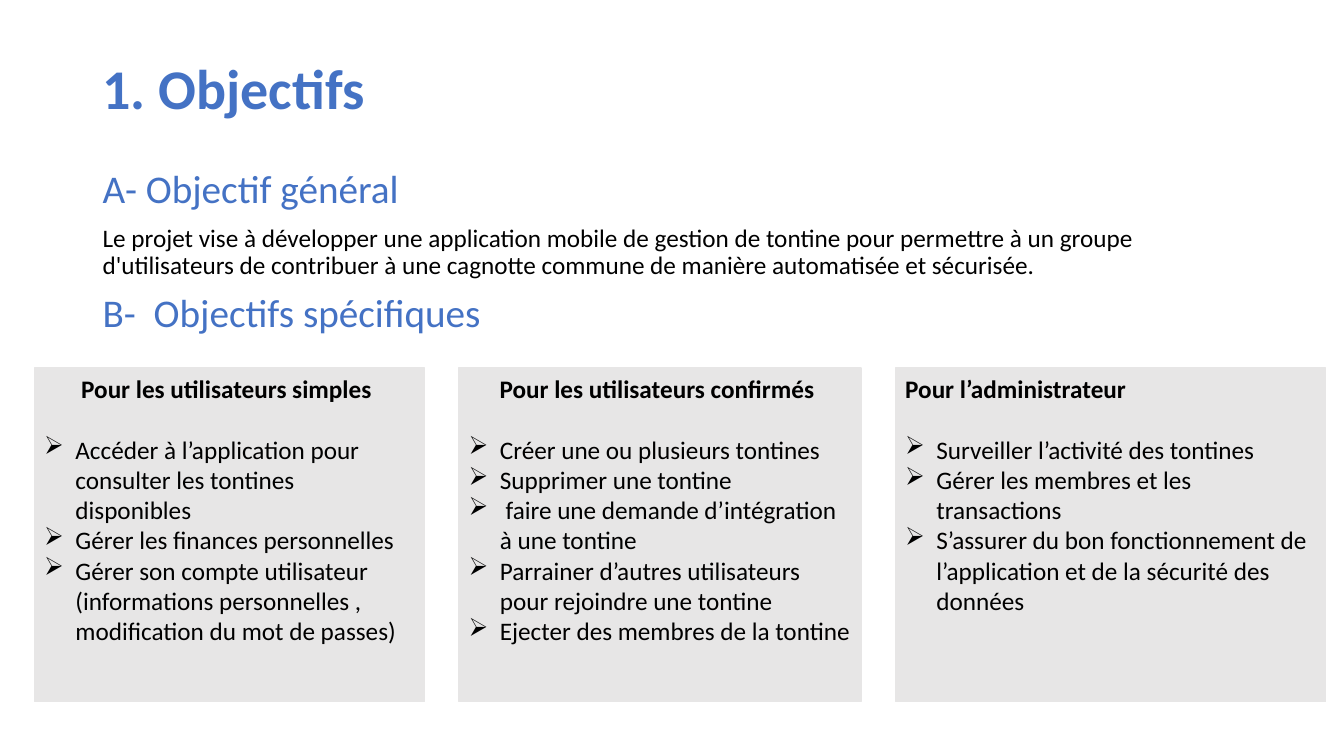
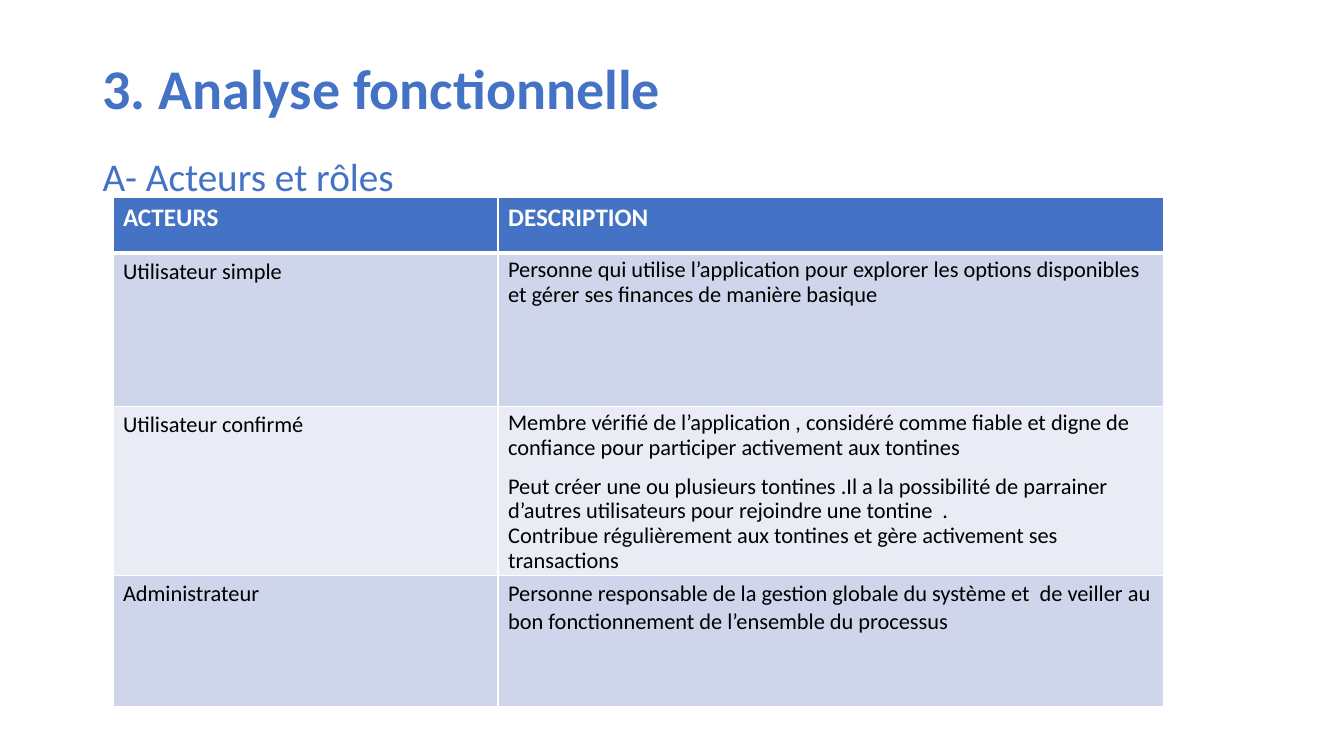
from lxml.etree import SubElement
from pptx import Presentation
from pptx.dml.color import RGBColor
from pptx.enum.shapes import MSO_SHAPE
from pptx.enum.text import MSO_ANCHOR, PP_ALIGN
from pptx.oxml.ns import qn
from pptx.util import Emu, Pt

PX = 9144
FONT = "Calibri"
BLUE, BLACK, WHITE, GREY = "4472C4", "000000", "FFFFFF", "E7E6E6"
BANDS = ("CFD5EA", "E9EBF5")
TITLE_BOX = (92, 40, 1150, 102)
BULLET_INDENT = 31

OBJECTIVES = [
    ("A- Objectif général", True),
    ("Le projet vise à développer une application mobile de gestion de tontine pour "
     "permettre à un groupe d'utilisateurs de contribuer à une cagnotte commune de "
     "manière automatisée et sécurisée.", False),
    ("B-  Objectifs spécifiques", True),
]
CARDS = [
    (387, PP_ALIGN.CENTER, "Pour les utilisateurs simples ", [
        "Accéder à l’application pour consulter les tontines disponibles",
        "Gérer les finances personnelles",
        "Gérer son compte utilisateur (informations personnelles , "
        "modification du mot de passes)"]),
    (399, PP_ALIGN.CENTER, "Pour les utilisateurs confirmés ", [
        "Créer une ou plusieurs tontines",
        "Supprimer une tontine",
        " faire une demande d’intégration à une tontine",
        "Parrainer d’autres utilisateurs pour rejoindre une tontine",
        "Ejecter des membres de la tontine"]),
    (427, PP_ALIGN.LEFT, "Pour l’administrateur", [
        "Surveiller l’activité des tontines",
        "Gérer les membres et les transactions",
        "S’assurer du bon fonctionnement de l’application et de la sécurité des données"]),
]
HEADERS = ("ACTEURS", "DESCRIPTION")
ACTORS = [
    ("Utilisateur simple", 0.9, [
        "Personne qui utilise l’application pour explorer les options disponibles "
        "et gérer ses finances de manière basique"]),
    ("Utilisateur confirmé", 0.9, [
        "Membre vérifié de l’application , considéré comme fiable et digne de "
        "confiance pour participer activement aux tontines",
        "Peut créer une ou plusieurs tontines .Il a la possibilité de parrainer "
        "d’autres utilisateurs pour rejoindre une tontine  .\n"
        "Contribue régulièrement aux tontines et gère activement ses transactions"]),
    ("Administrateur", 1, [
        "Personne responsable de la gestion globale du système et  de veiller au "
        "bon fonctionnement de l’ensemble du processus"]),
]


def px(*values):
    """Turn pixel lengths into a list of EMU lengths."""
    return [Emu(v * PX) for v in values]


def rgb(value):
    """Turn a hex string into a colour."""
    return RGBColor.from_string(value)


def add_text(tf, text, size=18, color=BLACK, bold=False, align=PP_ALIGN.LEFT,
             spacing=1, before=0, after=0, bullet=None):
    """Write one formatted paragraph, using the empty first one if it is free."""
    p = tf.paragraphs[0] if not tf.text else tf.add_paragraph()
    p.text = text
    p.alignment = align
    p.line_spacing = spacing
    p.space_before, p.space_after = Pt(before), Pt(after)
    for r in p.runs:
        r.font.name, r.font.size, r.font.bold = FONT, Pt(size), bold
        r.font.color.rgb = rgb(color)
    for br in p._p.findall(qn("a:br")):
        SubElement(br, qn("a:rPr"), sz=str(size * 100))
    if bullet:
        pPr = p._p.get_or_add_pPr()
        pPr.set("marL", str(BULLET_INDENT * PX))
        pPr.set("indent", str(-BULLET_INDENT * PX))
        SubElement(pPr, qn("a:buChar"), char=bullet)


def add_box(s, box, anchor=MSO_ANCHOR.TOP):
    """Add a wrapping text box and return its text frame."""
    tf = s.shapes.add_textbox(*px(*box)).text_frame
    tf.word_wrap = True
    tf.vertical_anchor = anchor
    return tf


def add_slide(prs, title):
    """Add a blank slide with the shared title."""
    s = prs.slides.add_slide(prs.slide_layouts[6])
    add_text(add_box(s, TITLE_BOX, MSO_ANCHOR.MIDDLE), title, size=40, color=BLUE,
             bold=True, spacing=0.9)
    return s


def add_body(s, box, items):
    """Add headings and paragraphs in one text box."""
    tf = add_box(s, box)
    for text, heading in items:
        add_text(tf, text, size=28 if heading else 18,
                 color=BLUE if heading else BLACK, spacing=0.9, before=10)


def add_card(s, box, align, heading, items):
    """Add a grey card with a heading and a bulleted list."""
    sp = s.shapes.add_shape(MSO_SHAPE.RECTANGLE, *px(*box))
    sp.shadow.inherit = False
    sp.fill.solid()
    sp.fill.fore_color.rgb = rgb(GREY)
    sp.line.color.rgb = rgb(GREY)
    sp.line.width = Pt(1)
    tf = sp.text_frame
    tf.word_wrap = True
    tf.vertical_anchor = MSO_ANCHOR.TOP
    add_text(tf, heading, bold=True, align=align, after=22)
    for item in items:
        add_text(tf, item, bullet="➢")


def add_cards(s, left, top, height, gap):
    """Lay the cards out in a row with equal gaps."""
    for width, align, heading, items in CARDS:
        add_card(s, (left, top, width, height), align, heading, items)
        left += width + gap


def style_cell(cell, fill, top=1, bottom=1):
    """Give a cell white borders and a solid fill."""
    tcPr = cell._tc.get_or_add_tcPr()
    for side, width in (("L", 1), ("R", 1), ("T", top), ("B", bottom)):
        ln = SubElement(tcPr, qn(f"a:ln{side}"), w=str(Pt(width)))
        SubElement(SubElement(ln, qn("a:solidFill")), qn("a:srgbClr"), val=WHITE)
    cell.fill.solid()
    cell.fill.fore_color.rgb = rgb(fill)


def add_actor_table(s, left, top, widths, heights):
    """Add the table of actors and their descriptions."""
    table = s.shapes.add_table(len(heights), len(widths), *px(
        left, top, sum(widths), sum(heights))).table
    for col, width in zip(table.columns, px(*widths)):
        col.width = width
    for row, height in zip(table.rows, px(*heights)):
        row.height = height
    for c, header in enumerate(HEADERS):
        cell = table.cell(0, c)
        style_cell(cell, BLUE, bottom=3)
        add_text(cell.text_frame, header, color=WHITE, bold=True)
    for i, (actor, spacing, description) in enumerate(ACTORS):
        name, detail = table.cell(i + 1, 0), table.cell(i + 1, 1)
        for cell in (name, detail):
            style_cell(cell, BANDS[i % 2], top=1 if i else 3)
        add_text(name.text_frame, actor, size=16)
        for text in description:
            add_text(detail.text_frame, text, size=16, spacing=spacing,
                     before=10 if spacing < 1 else 0)


def main():
    """Build and save the presentation."""
    prs = Presentation()
    prs.slide_width, prs.slide_height = px(1333, 750)

    s = add_slide(prs, "1. Objectifs")
    add_body(s, (92, 163, 1150, 525), OBJECTIVES)
    add_cards(s, left=34, top=365, height=331, gap=34)

    s = add_slide(prs, "3. Analyse fonctionnelle")
    add_body(s, (92, 151, 1150, 525), [("A- Acteurs et rôles", True)])
    add_actor_table(s, 112, 196, (382, 660), (55, 152, 152, 130))

    prs.save("out.pptx")


if __name__ == "__main__":
    main()
